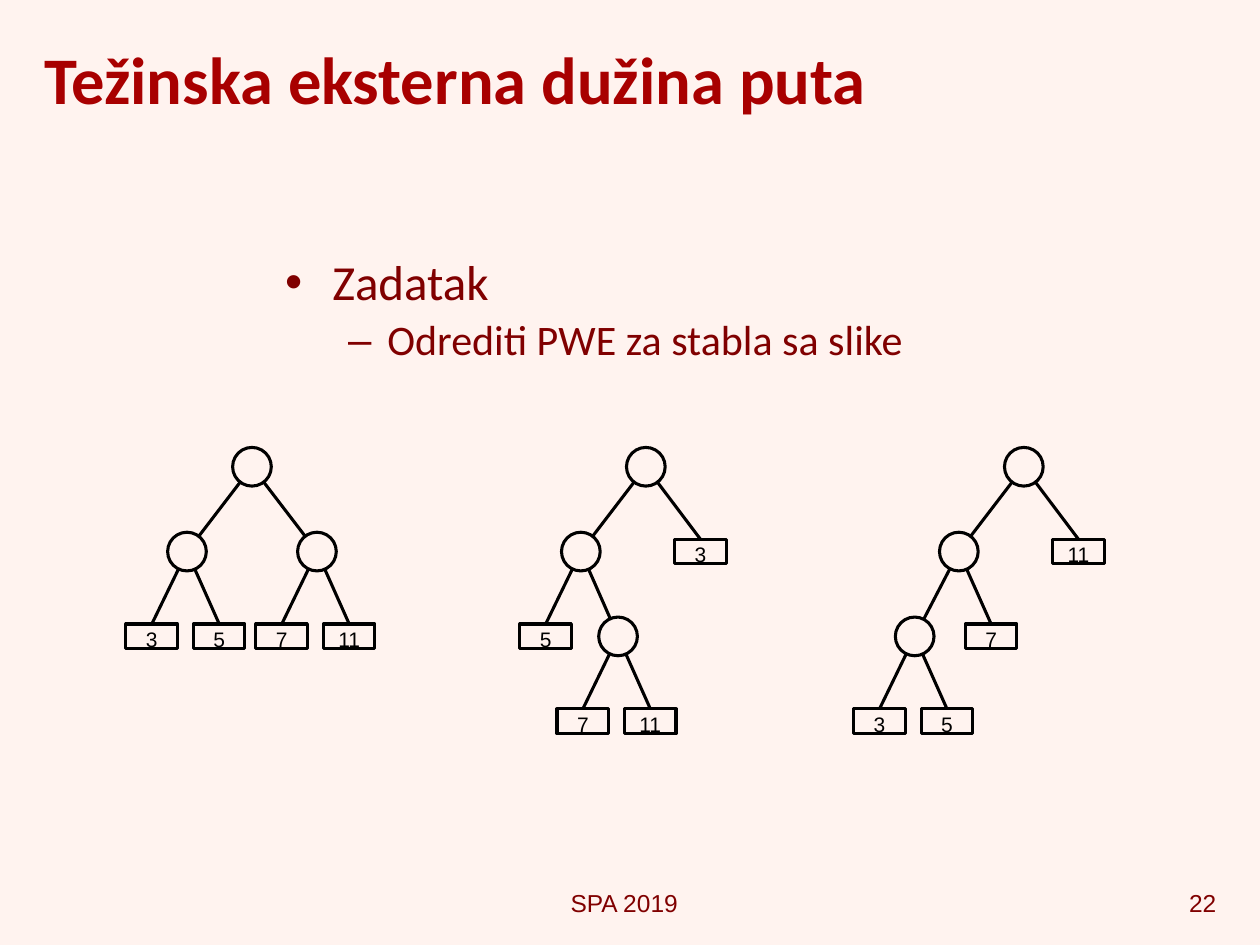
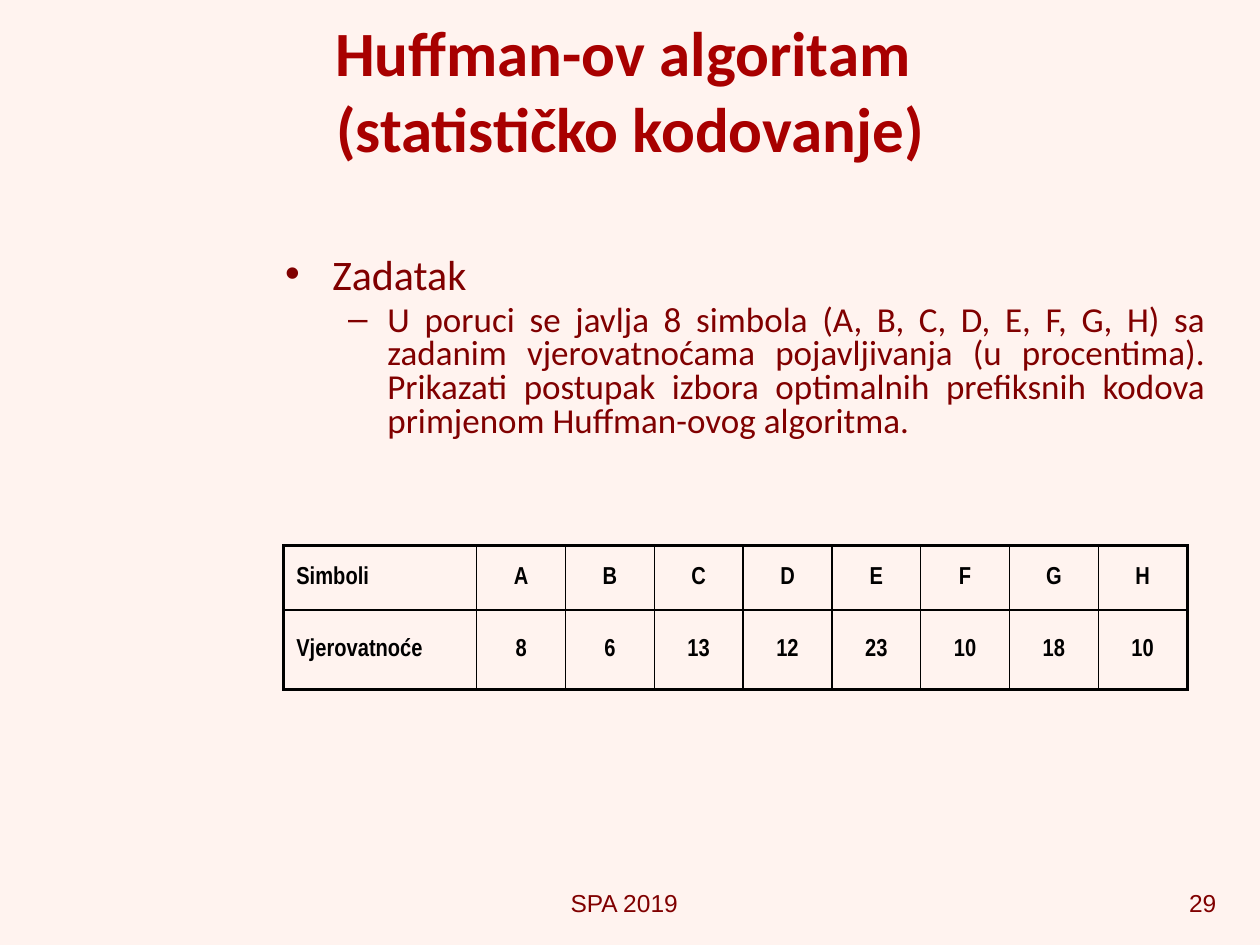
from math import hypot

from lxml.etree import SubElement
from pptx import Presentation
from pptx.dml.color import RGBColor
from pptx.enum.shapes import MSO_CONNECTOR, MSO_SHAPE
from pptx.enum.text import MSO_ANCHOR, PP_ALIGN
from pptx.oxml.ns import qn
from pptx.util import Cm, Pt

PAPER = RGBColor(0xFF, 0xF3, 0xEF)
TITLE_RED = RGBColor(0xA8, 0x00, 0x00)
TEXT_RED = RGBColor(0x80, 0x00, 0x00)
BLACK = RGBColor(0x00, 0x00, 0x00)

FOOTER = "SPA 2019"
PATHS = {
    "number": "22",
    "title": "Težinska eksterna dužina puta",
    "task": ("Zadatak", "Odrediti PWE za stabla sa slike"),
}
HUFFMAN = {
    "number": "29",
    "title": "Huffman-ov algoritam \n(statističko kodovanje)",
    "task": (
        "Zadatak",
        "U poruci se javlja 8 simbola (A, B, C, D, E, F, G, H) sa zadanim "
        "vjerovatnoćama pojavljivanja (u procentima). Prikazati postupak izbora "
        "optimalnih prefiksnih kodova primjenom Huffman-ovog algoritma.",
    ),
}
PROBABILITIES = [
    ("Simboli", "A", "B", "C", "D", "E", "F", "G", "H"),
    ("Vjerovatnoće", "8", "6", "13", "12", "23", "10", "18", "10"),
]


def leaves(left, right):
    return [(-0.71, left), (0.65, right)]


# A node is (cm to the right of its parent, leaf weight or list of child nodes);
# a root counts from the left edge of the slide.
TREES = [
    (5.08, [(-1.31, leaves(3, 5)), (1.31, leaves(7, 11))]),
    (13.02, [(-1.31, [(-0.71, 5), (0.75, leaves(7, 11))]), (1.1, 3)]),
    (20.64, [(-1.31, [(-0.89, leaves(3, 5)), (0.65, 7)]), (1.1, 11)]),
]
ROOT_Y, LEVEL_STEP = 9.41, 1.71
RADIUS = 0.39
LEAF_WIDTH, LEAF_HEIGHT = 1.04, 0.5
TREE_LINE = Pt(1.75)


def style(paragraph, size, color, face, bold=False, align=PP_ALIGN.LEFT):
    font = paragraph.font
    font.name, font.size, font.bold = face, Pt(size), bold
    font.color.rgb = color
    paragraph.alignment = align


def add_text_frame(slide, left, top, width, height):
    frame = slide.shapes.add_textbox(
        Cm(left), Cm(top), Cm(width), Cm(height)).text_frame
    frame.word_wrap = True
    return frame


def set_bullet(paragraph, mark, margin, hanging):
    props = paragraph._p.get_or_add_pPr()
    props.set("marL", str(Cm(margin)))
    props.set("indent", str(-Cm(hanging)))
    SubElement(props, qn("a:buFont"), typeface="Arial")
    SubElement(props, qn("a:buChar"), char=mark)


def add_task(slide, task, sizes, spacing, width, height, detail_align):
    frame = add_text_frame(slide, 5.5, 5.08, width, height)
    heading, detail = frame.paragraphs[0], frame.add_paragraph()
    detail.level = 1
    set_bullet(heading, "•", 0.95, 0.95)
    set_bullet(detail, "–", 2.06, 0.79)
    for paragraph, text, size in zip((heading, detail), task, sizes):
        paragraph.text = text
        paragraph.line_spacing = spacing
        paragraph.space_before = Pt(0.2 * size)
        style(paragraph, size, TEXT_RED, "Calibri")
    detail.alignment = detail_align


def add_slide(prs, content, title_size, title_height, title_align):
    """Add a slide with its title, footer and number."""
    slide = prs.slides.add_slide(prs.slide_layouts[6])
    for text, left, width, align in (
        (FOOTER, 9.5, 6.17, PP_ALIGN.CENTER),
        (content["number"], 19.69, 5.08, PP_ALIGN.RIGHT),
    ):
        paragraph = add_text_frame(slide, left, 17.78, width, 0.84).paragraphs[0]
        paragraph.text = text
        style(paragraph, 14, TEXT_RED, "Arial", align=align)
    frame = add_text_frame(slide, 0.64, 0.21, 24.13, title_height)
    frame.vertical_anchor = MSO_ANCHOR.MIDDLE
    title = frame.paragraphs[0]
    title.text = content["title"]
    style(title, title_size, TITLE_RED, "Calibri", True, title_align)
    return slide


def add_node(slide, preset, x, y, width, height):
    """Add an outlined shape centred on (x, y)."""
    node = slide.shapes.add_shape(
        preset, Cm(x - width / 2), Cm(y - height / 2), Cm(width), Cm(height))
    node.shadow.inherit = False
    node.fill.background()
    node.line.color.rgb = BLACK
    node.line.width = TREE_LINE
    return node


def add_leaf(slide, weight, x, y):
    leaf = add_node(slide, MSO_SHAPE.RECTANGLE, x, y, LEAF_WIDTH, LEAF_HEIGHT)
    frame = leaf.text_frame
    frame.margin_left = frame.margin_right = frame.margin_bottom = 0
    frame.margin_top = Cm(0.05)
    frame.vertical_anchor = MSO_ANCHOR.TOP
    frame.word_wrap = False
    paragraph = frame.paragraphs[0]
    paragraph.text = str(weight)
    style(paragraph, 12, BLACK, "Arial", align=PP_ALIGN.CENTER)
    return leaf


def add_edge(slide, x, y, child_x, child_y, leaf):
    """Join the rim of a circle to the rim of its child circle or the top of a leaf."""
    end_y = child_y - LEAF_HEIGHT / 2 if leaf else child_y
    dx, dy = child_x - x, end_y - y
    rim = RADIUS / hypot(dx, dy)
    edge = slide.shapes.add_connector(
        MSO_CONNECTOR.STRAIGHT,
        Cm(x + dx * rim), Cm(y + dy * rim),
        Cm(child_x - dx * rim), Cm(end_y - dy * rim))
    if leaf:
        edge.end_connect(leaf, 0)
    edge.line.color.rgb = BLACK
    edge.line.width = TREE_LINE
    SubElement(edge._element.spPr, qn("a:effectLst"))


def add_tree(slide, x, y, children):
    add_node(slide, MSO_SHAPE.OVAL, x, y, 2 * RADIUS, 2 * RADIUS)
    child_y = y + LEVEL_STEP
    for offset, content in children:
        child_x = x + offset
        leaf = None
        if isinstance(content, list):
            add_tree(slide, child_x, child_y, content)
        else:
            leaf = add_leaf(slide, content, child_x, child_y)
        add_edge(slide, x, y, child_x, child_y, leaf)


def set_borders(cell, widths):
    """Draw the left, right, top and bottom borders, widths in points."""
    props = cell._tc.get_or_add_tcPr()
    for side, width in zip("LRTB", widths):
        line = SubElement(props, qn(f"a:ln{side}"), w=str(Pt(width)))
        fill = SubElement(line, qn("a:solidFill"))
        SubElement(fill, qn("a:srgbClr"), val=str(BLACK))


def add_probabilities(slide):
    rows, cols = len(PROBABILITIES), len(PROBABILITIES[0])
    table = slide.shapes.add_table(
        rows, cols, Cm(5.72), Cm(11), Cm(18.21), Cm(2.9)).table
    table.first_row = table.horz_banding = False
    for c, column in enumerate(table.columns):
        column.width = Cm(1.79 if c else 3.89)
    for row, height in zip(table.rows, (1.3, 1.6)):
        row.height = Cm(height)
    for r, values in enumerate(PROBABILITIES):
        for c, value in enumerate(values):
            cell = table.cell(r, c)
            outer = (c == 0, c == cols - 1, r == 0, r == rows - 1)
            set_borders(cell, [2 if edge else 1 for edge in outer])
            cell.fill.background()
            cell.vertical_anchor = MSO_ANCHOR.MIDDLE
            paragraph = cell.text_frame.paragraphs[0]
            paragraph.text = value
            style(paragraph, 14, BLACK, "Arial Narrow", True,
                  PP_ALIGN.CENTER if c else PP_ALIGN.LEFT)


def main():
    prs = Presentation()
    prs.slide_width, prs.slide_height = Cm(25.4), Cm(19.05)
    background = prs.slide_master.background.fill
    background.solid()
    background.fore_color.rgb = PAPER

    paths = add_slide(prs, PATHS, 38, 2.74, PP_ALIGN.LEFT)
    add_task(paths, PATHS["task"], (28, 24), 0.9, 19.25, 2.54, PP_ALIGN.LEFT)
    for root_x, children in TREES:
        add_tree(paths, root_x, ROOT_Y, children)

    huffman = add_slide(prs, HUFFMAN, 36, 3.18, PP_ALIGN.CENTER)
    add_task(huffman, HUFFMAN["task"], (24, 20), 0.8, 19.05, 4.01, PP_ALIGN.JUSTIFY)
    add_probabilities(huffman)

    prs.save("out.pptx")


if __name__ == "__main__":
    main()
